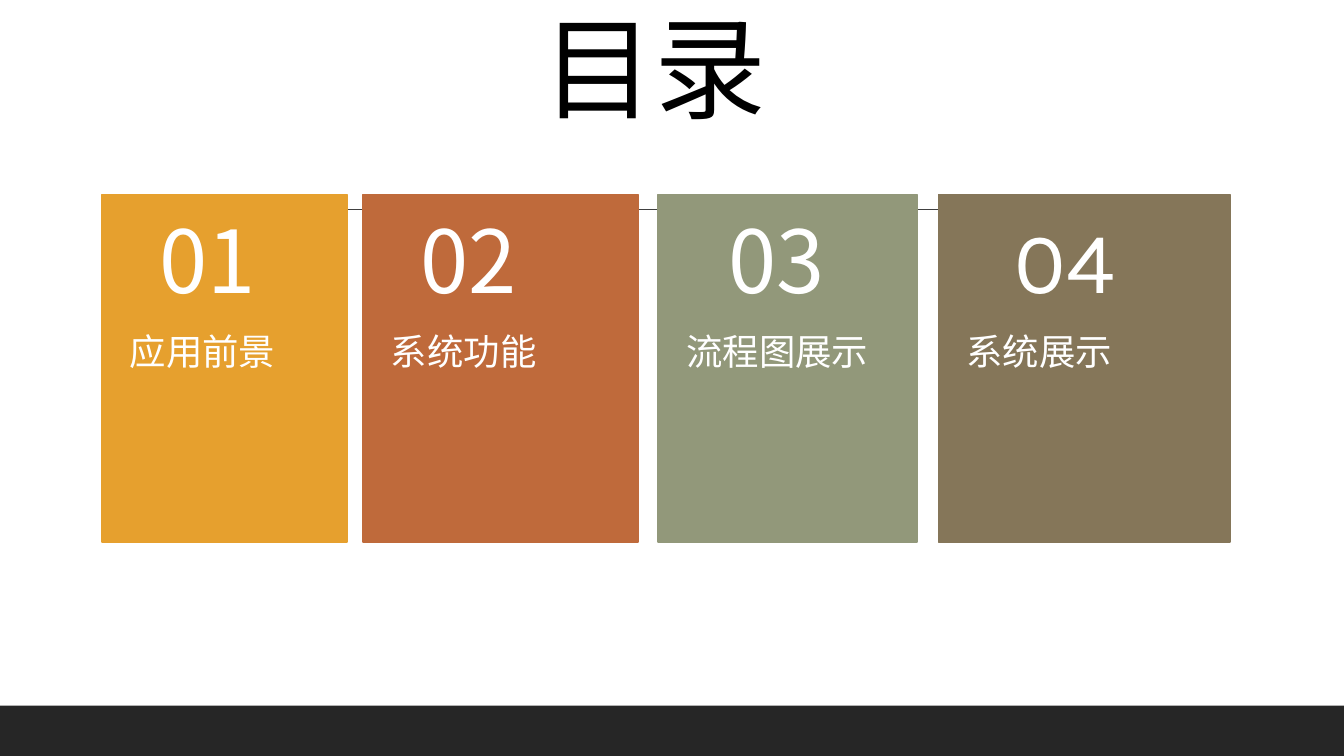
from lxml import etree
from pptx import Presentation
from pptx.dml.color import RGBColor
from pptx.enum import shapes, text
from pptx.oxml.ns import qn
from pptx.util import Pt

CJK_FONT = "Noto Sans CJK SC"
CARD_TOP, CARD_HEIGHT, NUMBER_HEIGHT = 139, 248.4, 99.4

# left, width, colour, number, number offset, number width, number font, label
CARDS = [
    (72.7, 175, "E6A02E", "01", 20.9, 133.2, CJK_FONT, "应用前景"),
    (259.2, 196.6, "BF6A3B", "02", 20.9, 165.6, CJK_FONT, "系统功能"),
    (470.2, 185, "92987A", "03", 30.2, 139, CJK_FONT, "流程图展示"),
    (670.3, 208.1, "857659", "04", 34.6, 157, "Karla", "系统展示"),
]


def colour(value):
    return RGBColor.from_string(value)


def add_run(paragraph, wording, size, font_name, font_colour):
    run = paragraph.add_run()
    run.text = wording
    run.font.size = Pt(size)
    run.font.color.rgb = colour(font_colour)
    run.font.name = font_name
    east_asian = etree.SubElement(run.font._element, qn("a:ea"))
    east_asian.set("typeface", font_name)


def set_frame(frame, anchor, left, top, right, bottom):
    frame.word_wrap = True
    frame.vertical_anchor = anchor
    frame.margin_left, frame.margin_top = Pt(left), Pt(top)
    frame.margin_right, frame.margin_bottom = Pt(right), Pt(bottom)


def add_rectangle(slide, left, top, width, height, fill):
    shape = slide.shapes.add_shape(
        shapes.MSO_SHAPE.RECTANGLE, Pt(left), Pt(top), Pt(width), Pt(height))
    shape.shadow.inherit = False
    shape.fill.solid()
    shape.fill.fore_color.rgb = colour(fill)
    shape.line.fill.background()
    return shape


def add_text(slide, left, top, width, height, wording, size, font_name,
             anchor, inset_top, inset_bottom):
    box = slide.shapes.add_textbox(Pt(left), Pt(top), Pt(width), Pt(height))
    set_frame(box.text_frame, anchor, 20, inset_top, 20, inset_bottom)
    paragraph = box.text_frame.paragraphs[0]
    paragraph.line_spacing = 0.9
    add_run(paragraph, wording, size, font_name, "FFFFFF")


def add_backdrop(slide, width, height):
    # Footer band
    add_rectangle(slide, 0, height - 36, width, 36, "262626")
    # Line running behind the cards
    line = slide.shapes.add_connector(
        shapes.MSO_CONNECTOR.STRAIGHT, Pt(94.3), Pt(149.6), Pt(879.1), Pt(149.6))
    line.line.color.rgb = colour("404040")
    line.line.width = Pt(1)
    etree.SubElement(line._element.spPr, qn("a:effectLst"))


def add_title(slide, left, top, width, height):
    title = slide.shapes.title
    title.left, title.top = Pt(left), Pt(top)
    title.width, title.height = Pt(width), Pt(height)
    frame = title.text_frame
    set_frame(frame, text.MSO_ANCHOR.TOP, 7.2, 3.6, 7.2, 3.6)
    frame.auto_size = text.MSO_AUTO_SIZE.NONE
    paragraph = frame.paragraphs[0]
    paragraph.alignment = text.PP_ALIGN.CENTER
    paragraph.line_spacing = 0.9
    add_run(paragraph, "目录", 80, CJK_FONT, "000000")


def add_card(slide, left, top, width, height, fill, number, number_offset,
             number_width, number_font, label):
    card = add_rectangle(slide, left, top, width, height, fill)
    card.line.color.rgb = colour(fill)
    card.line.width = Pt(1.25)
    # Label below, number above
    add_text(slide, left, top + NUMBER_HEIGHT, width, height - NUMBER_HEIGHT,
             label, 26, CJK_FONT, text.MSO_ANCHOR.TOP, 0, 26)
    add_text(slide, left + number_offset, top + 0.6, number_width, NUMBER_HEIGHT,
             number, 62, number_font, text.MSO_ANCHOR.MIDDLE, 13, 13)


def main():
    presentation = Presentation()
    presentation.slide_width, presentation.slide_height = Pt(960), Pt(540)
    slide = presentation.slides.add_slide(presentation.slide_layouts[5])
    add_backdrop(slide, 960, 540)
    for left, width, *content in CARDS:
        add_card(slide, left, CARD_TOP, width, CARD_HEIGHT, *content)
    add_title(slide, 324.7, 6.5, 285.8, 104.4)
    presentation.save("out.pptx")


if __name__ == "__main__":
    main()
